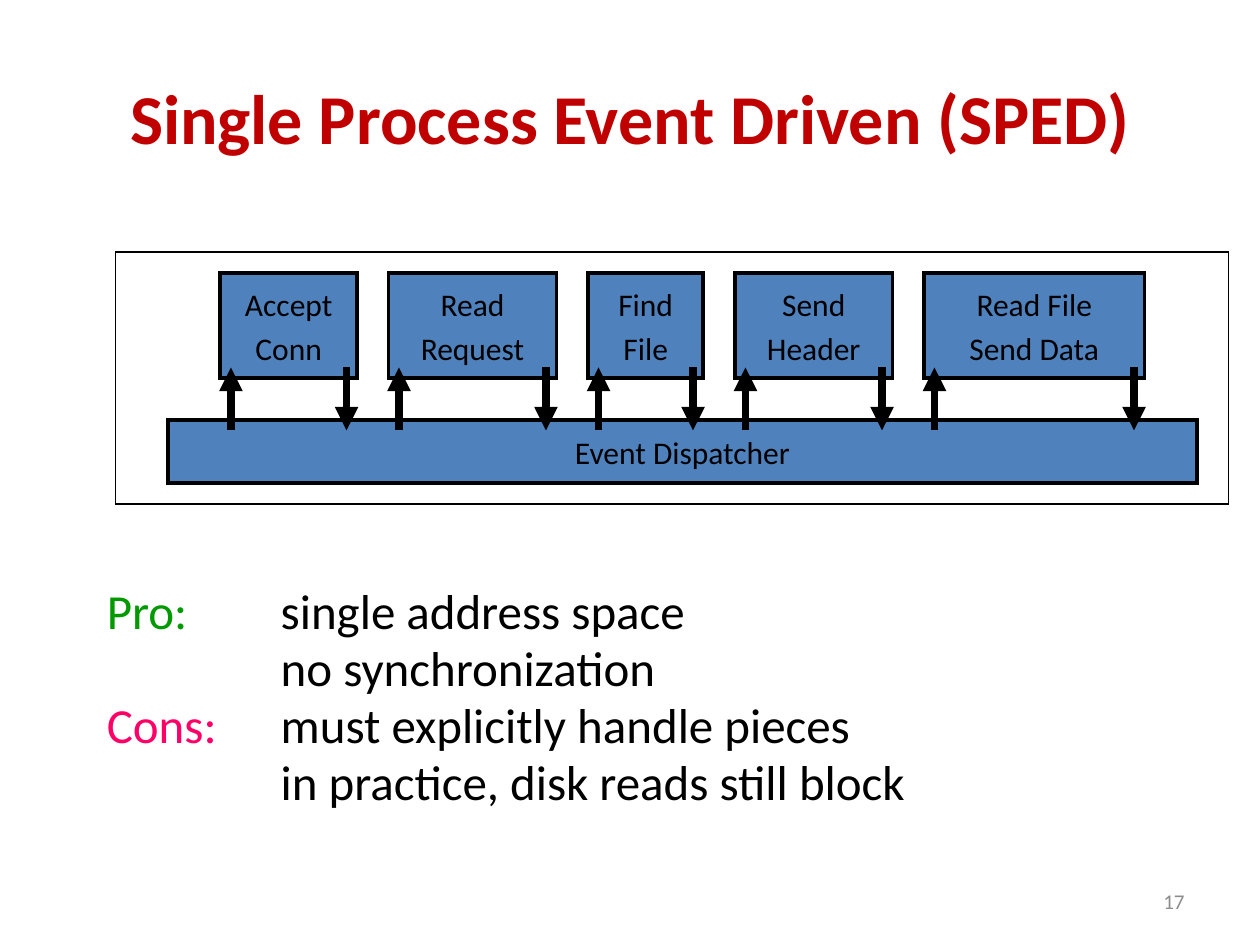
"""Build the Single Process Event Driven (SPED) slide on a grid of twelve columns and rows per inch."""
import pptx
import pptx.dml.color
import pptx.enum.shapes
import pptx.enum.text
import pptx.oxml
import pptx.oxml.ns
import pptx.util

ALIGN = pptx.enum.text.PP_ALIGN
MIDDLE = pptx.enum.text.MSO_ANCHOR.MIDDLE
RECTANGLE = pptx.enum.shapes.MSO_SHAPE.RECTANGLE
STRAIGHT = pptx.enum.shapes.MSO_CONNECTOR.STRAIGHT
DRAWING = pptx.oxml.ns.nsdecls("a")
THEME = {
    "font": "Calibri",
    "title": ("C00000", 40),
    "step": ("000000", 18),
    "body": ("000000", 28),
    "pro": ("009900", 28),
    "cons": ("FF0066", 28),
    "number": ("8C8C8C", 12),
    "box": "4F81BD",
    "frame": "FFFFFF",
    "line": "000000",
}


def cells(*counts):
    return [pptx.util.Inches(count / 12) for count in counts]


def write(frame, paragraphs, layout, **spacing):
    for name, value in layout.items():
        setattr(frame, name, value)
    for index, pieces in enumerate(paragraphs):
        paragraph = frame.add_paragraph() if index else frame.paragraphs[0]
        for name, value in spacing.items():
            setattr(paragraph, name, value)
        for words, style in pieces:
            run = paragraph.add_run()
            run.text = words
            color, size = THEME[style]
            look = {"name": THEME["font"], "size": pptx.util.Pt(size), "bold": style == "title"}
            for name, value in look.items():
                setattr(run.font, name, value)
            run.font.color.rgb = pptx.dml.color.RGBColor.from_string(color)


deck = pptx.Presentation()
deck.slide_width, deck.slide_height = cells(120, 90)
slide = deck.slides.add_slide(deck.slide_layouts[5])

heading = slide.shapes.title
heading.left, heading.top, heading.width, heading.height = cells(6, 3.6, 108, 15)
write(heading.text_frame, [[("Single Process Event Driven (SPED)", "title")]],
      {"vertical_anchor": MIDDLE, "word_wrap": True}, alignment=ALIGN.CENTER)

steps = [
    (13, ["Accept", "Conn"]),
    (16, ["Read", "Request"]),
    (11, ["Find", "File"]),
    (15, ["Send", "Header"]),
    (21, ["Read File", "Send Data"]),
]
blocks = [
    ((11, 24, 106, 24), "frame", 0.75, []),
    ((16, 40, 98, 6), "box", 2.25, ["Event Dispatcher"]),
]
arrows = []
column, gap = 21, 3
for width, label in steps:
    blocks.append(((column, 26, width, 10), "box", 2.25, label))
    arrows += [(column + 1, 41, 35), (column + width - 1, 35, 41)]
    column += width + gap

for place, fill, weight, label in blocks:
    block = slide.shapes.add_shape(RECTANGLE, *cells(*place))
    block.shadow.inherit = False
    block.fill.solid()
    block.fill.fore_color.rgb = pptx.dml.color.RGBColor.from_string(THEME[fill])
    block.line.color.rgb = pptx.dml.color.RGBColor.from_string(THEME["line"])
    block.line.width = pptx.util.Pt(weight)
    block.line._get_or_add_ln().append(pptx.oxml.parse_xml(f'<a:miter {DRAWING} lim="800000"/>'))
    write(block.text_frame, [[(words, "step")] for words in label],
          {"vertical_anchor": MIDDLE, "word_wrap": False},
          alignment=ALIGN.CENTER, space_before=pptx.util.Pt(3.6))

for across, start, end in arrows:
    arrow = slide.shapes.add_connector(STRAIGHT, *cells(across, start, across, end))
    arrow.line.color.rgb = pptx.dml.color.RGBColor.from_string(THEME["line"])
    arrow.line.width = pptx.util.Pt(4.5)
    arrow.line._get_or_add_ln().append(pptx.oxml.parse_xml(f'<a:tailEnd {DRAWING} type="triangle"/>'))
    arrow._element.spPr.append(pptx.oxml.parse_xml(f'<a:effectLst {DRAWING}/>'))

verdict = slide.shapes.add_textbox(*cells(9, 55.8, 102, 24.1))
write(verdict.text_frame, [
    [("Pro:", "pro"), (" \tsingle address space", "body")],
    [("\t\tno synchronization", "body")],
    [("Cons:", "cons"), ("\tmust explicitly handle pieces", "body")],
    [("\t\tin practice, disk reads still block", "body")],
], {"word_wrap": True}, line_spacing=0.8, space_before=pptx.util.Pt(5.6))
indent = pptx.util.Inches(0.38)
tabs = {"marL": indent, "indent": -indent, "defTabSz": pptx.util.Inches(1)}
for paragraph in verdict.text_frame.paragraphs:
    for name, value in tabs.items():
        paragraph._p.get_or_add_pPr().set(name, str(value))

page = slide.shapes.add_textbox(*cells(86, 83.4, 28, 4.8))
write(page.text_frame, [[("17", "number")]],
      {"vertical_anchor": MIDDLE, "word_wrap": True}, alignment=ALIGN.RIGHT)

deck.save("out.pptx")
